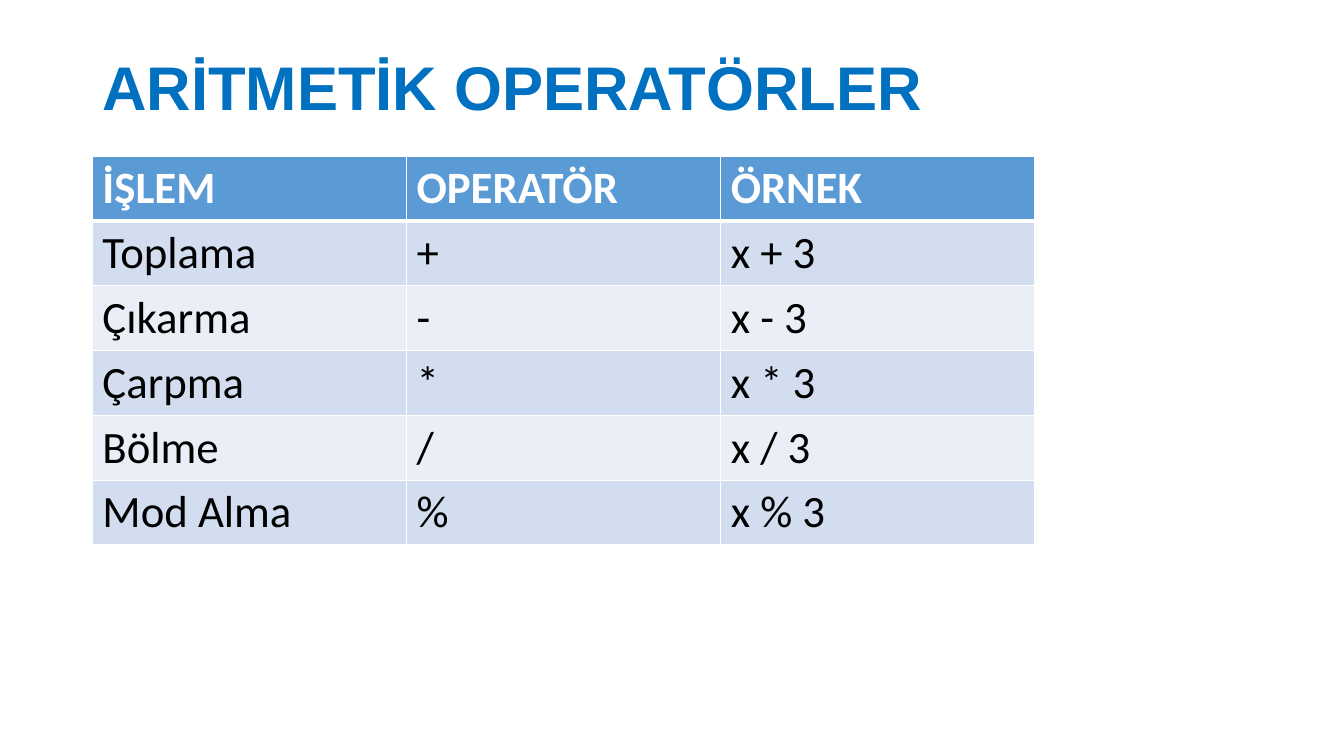
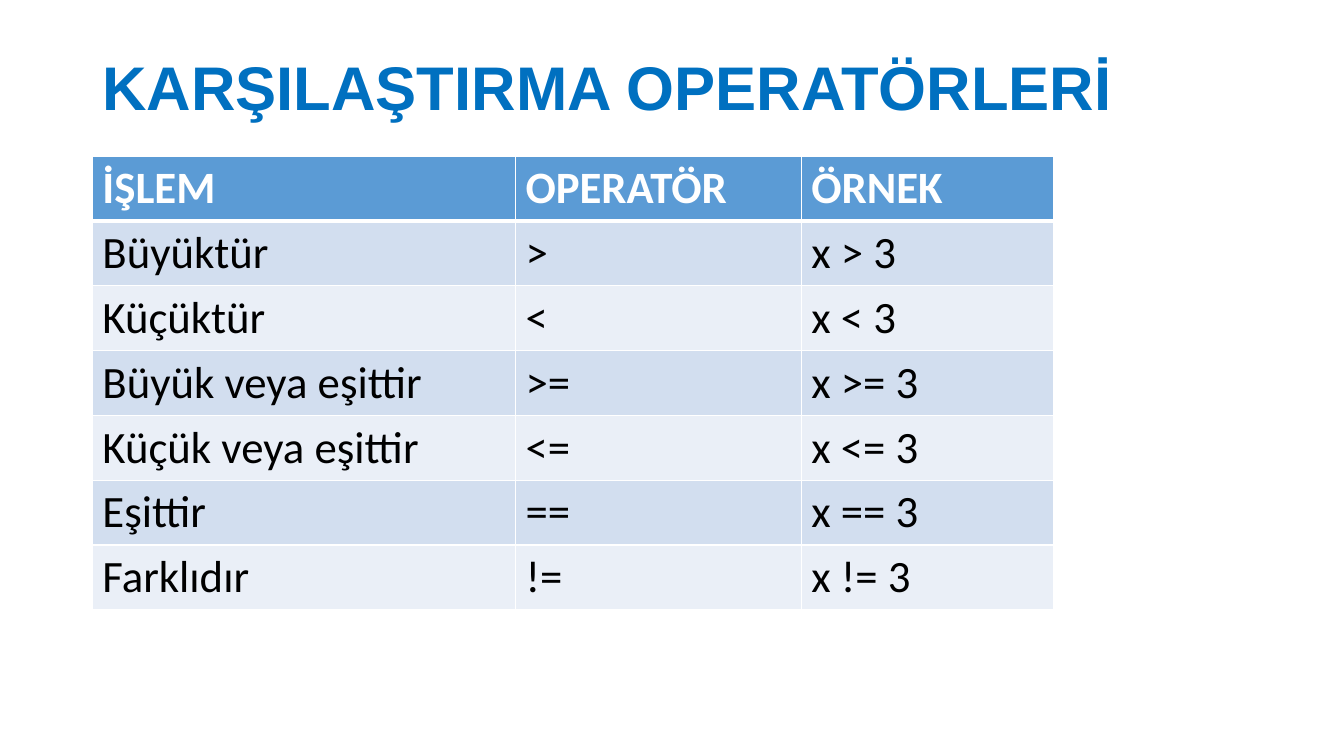
"""Build two slides of operator tables, arithmetic and comparison."""
from dataclasses import dataclass

from lxml.etree import SubElement as Sub
from pptx import Presentation
from pptx.dml.color import RGBColor as RGB
from pptx.enum.text import MSO_ANCHOR as Anchor
from pptx.oxml.ns import qn
from pptx.util import Pt


@dataclass(frozen=True)
class Theme:
    title: RGB = RGB(0x00, 0x70, 0xC0)
    header: RGB = RGB(0x5B, 0x9B, 0xD5)
    bands: tuple = (RGB(0xEA, 0xEF, 0xF7), RGB(0xD2, 0xDE, 0xEF))
    white: RGB = RGB(0xFF, 0xFF, 0xFF)
    black: RGB = RGB(0x00, 0x00, 0x00)
    title_size: int = 44
    cell_size: int = 32
    thin: int = 1
    thick: int = 3


def write(p, text, color, **fmt):
    r = p.add_run()
    r.text = text
    r.font.color.rgb = color
    for name, value in fmt.items():
        setattr(r.font, name, value)


def add_borders(cell, widths):
    pr = cell._tc.get_or_add_tcPr()
    for side, width in widths.items():
        ln = Sub(pr, qn(f"a:ln{side}"), w=str(Pt(width)))
        Sub(Sub(ln, qn("a:solidFill")), qn("a:srgbClr"), val=str(theme.white))


theme = Theme()
LEFT, ROW_H = 66, 46.3
HEAD = ("İŞLEM", "OPERATÖR", "ÖRNEK")
SLIDES = [
    ("ARİTMETİK OPERATÖRLER", (224.4, 224.4, 224.4), [
        ("Toplama", "+"), ("Çıkarma", "-"), ("Çarpma", "*"),
        ("Bölme", "/"), ("Mod Alma", "%")]),
    ("KARŞILAŞTIRMA OPERATÖRLERİ", (302.2, 204.2, 180.5), [
        ("Büyüktür", ">"), ("Küçüktür", "<"),
        ("Büyük veya eşittir", ">="), ("Küçük veya eşittir", "<="),
        ("Eşittir", "=="), ("Farklıdır", "!=")]),
]

prs = Presentation()
prs.slide_width, prs.slide_height = Pt(960), Pt(540)

for title, widths, operators in SLIDES:
    s = prs.slides.add_slide(prs.slide_layouts[6])
    tf = s.shapes.add_textbox(Pt(LEFT), Pt(28.8), Pt(828), Pt(71.3)).text_frame
    for name, value in {"word_wrap": True, "vertical_anchor": Anchor.MIDDLE}.items():
        setattr(tf, name, value)
    p = tf.paragraphs[0]
    p.line_spacing = 0.9
    write(p, title, theme.title, name="Arial", size=Pt(theme.title_size), bold=True)

    rows = [HEAD] + [(label, op, f"x {op} 3") for label, op in operators]
    table = s.shapes.add_table(len(rows), len(HEAD), Pt(LEFT), Pt(111.6),
                               Pt(sum(widths)), Pt(ROW_H * len(rows))).table
    for column, width in zip(table.columns, widths):
        column.width = Pt(width)
    for i, row in enumerate(rows):
        table.rows[i].height = Pt(ROW_H)
        is_head = i == 0
        borders = {"L": theme.thin, "R": theme.thin,
                   "T": theme.thick if i == 1 else theme.thin,
                   "B": theme.thick if is_head else theme.thin}
        for j, text in enumerate(row):
            cell = table.cell(i, j)
            add_borders(cell, borders)
            cell.fill.solid()
            cell.fill.fore_color.rgb = theme.header if is_head else theme.bands[i % 2]
            write(cell.text_frame.paragraphs[0], text,
                  theme.white if is_head else theme.black,
                  name="Calibri", size=Pt(theme.cell_size), bold=is_head)

prs.save("out.pptx")
